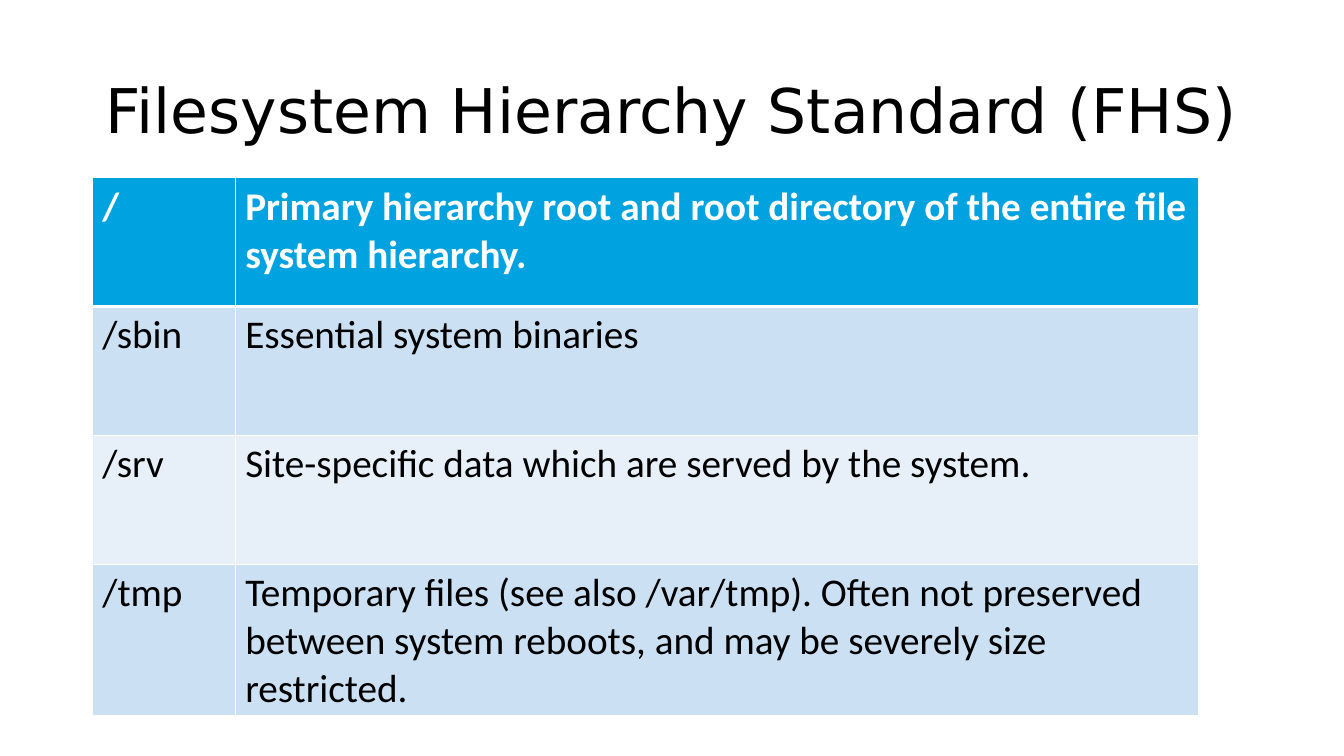
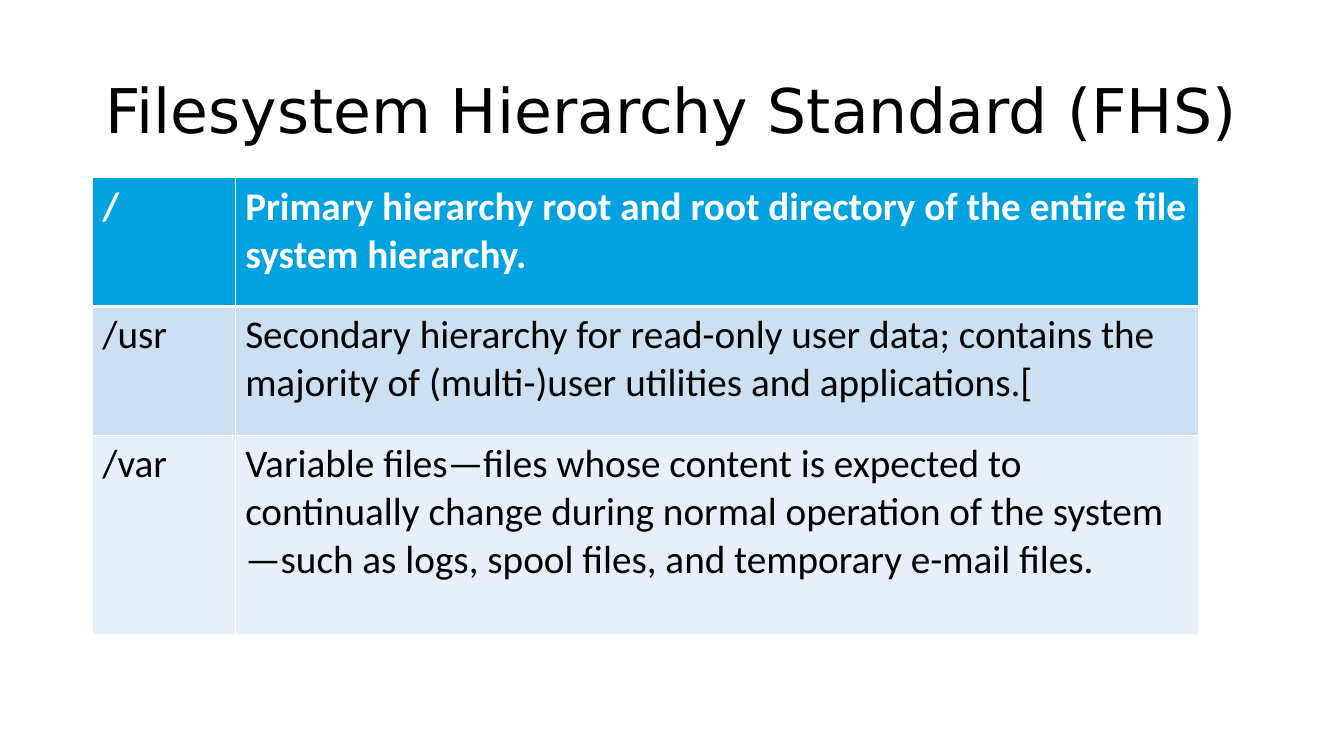
import pptx
import pptx.dml.color
import pptx.enum.text
import pptx.oxml
import pptx.oxml.ns
import pptx.util

Pt = pptx.util.Pt
RGBColor = pptx.dml.color.RGBColor

TITLE = "Filesystem Hierarchy Standard (FHS)"
HEADER = ("/", "Primary hierarchy root and root directory of the entire file system hierarchy.", 92)
SLIDES = [
    [
        ("/sbin", "Essential system binaries", 92),
        ("/srv", "Site-specific data which are served by the system.", 92),
        ("/tmp", "Temporary files (see also /var/tmp). Often not preserved between "
                 "system reboots, and may be severely size restricted.", 108),
    ],
    [
        ("/usr", "Secondary hierarchy for read-only user data; contains the majority "
                 "of (multi-)user utilities and applications.[", 92),
        ("/var", "Variable files—files whose content is expected to continually change "
                 "during normal operation of the system—such as logs, spool files, "
                 "and temporary e-mail files.", 142),
    ],
]

BLACK = RGBColor(0x00, 0x00, 0x00)
WHITE = RGBColor(0xFF, 0xFF, 0xFF)
HEADER_BLUE = RGBColor(0x00, 0xA3, 0xE0)
BANDS = [RGBColor(0xCC, 0xE0, 0xF3), RGBColor(0xE7, 0xF0, 0xF9)]
TITLE_FONT = "DejaVu Sans"
TABLE_FONT = "Calibri"
LEFT = 66
TABLE_TOP = 127
COLUMN_WIDTHS = (102, 688)


def add_span(para, text, font, size, color, bold=False):
    span = para.add_run()
    span.text = text
    span.font.name = font
    span.font.size = Pt(size)
    span.font.bold = bold
    span.font.color.rgb = color


def add_title(page):
    box = page.shapes.add_textbox(Pt(LEFT), Pt(28.8), Pt(828), Pt(104.4))
    frame = box.text_frame
    frame.word_wrap = True
    frame.vertical_anchor = pptx.enum.text.MSO_ANCHOR.MIDDLE
    para = frame.paragraphs[0]
    para.alignment = pptx.enum.text.PP_ALIGN.CENTER
    para.line_spacing = 0.9
    add_span(para, TITLE, TITLE_FONT, 44, BLACK)


def set_borders(cell, widths):
    properties = cell._tc.get_or_add_tcPr()
    for side, width in zip("LRTB", widths):
        properties.append(pptx.oxml.parse_xml(
            f'<a:ln{side} {pptx.oxml.ns.nsdecls("a")} w="{Pt(width)}">'
            f'<a:solidFill><a:srgbClr val="{WHITE}"/></a:solidFill></a:ln{side}>'))


def add_directory_table(page, directories):
    rows = [HEADER] + directories
    heights = [height for *_, height in rows]
    table = page.shapes.add_table(
        len(rows), len(COLUMN_WIDTHS), Pt(LEFT), Pt(TABLE_TOP),
        Pt(sum(COLUMN_WIDTHS)), Pt(sum(heights))).table
    for column, width in zip(table.columns, COLUMN_WIDTHS):
        column.width = Pt(width)
    for index, (*texts, height) in enumerate(rows):
        table.rows[index].height = Pt(height)
        is_header = index == 0
        fill = HEADER_BLUE if is_header else BANDS[(index - 1) % 2]
        color = WHITE if is_header else BLACK
        borders = (1, 1, 3 if index == 1 else 1, 3 if is_header else 1)
        for cell, text in zip(table.rows[index].cells, texts):
            set_borders(cell, borders)
            cell.fill.solid()
            cell.fill.fore_color.rgb = fill
            add_span(cell.text_frame.paragraphs[0], text, TABLE_FONT, 28, color, is_header)


def main():
    deck = pptx.Presentation()
    deck.slide_width, deck.slide_height = Pt(960), Pt(540)
    for directories in SLIDES:
        page = deck.slides.add_slide(deck.slide_layouts[6])
        add_title(page)
        add_directory_table(page, directories)
    deck.save("out.pptx")


if __name__ == "__main__":
    main()
